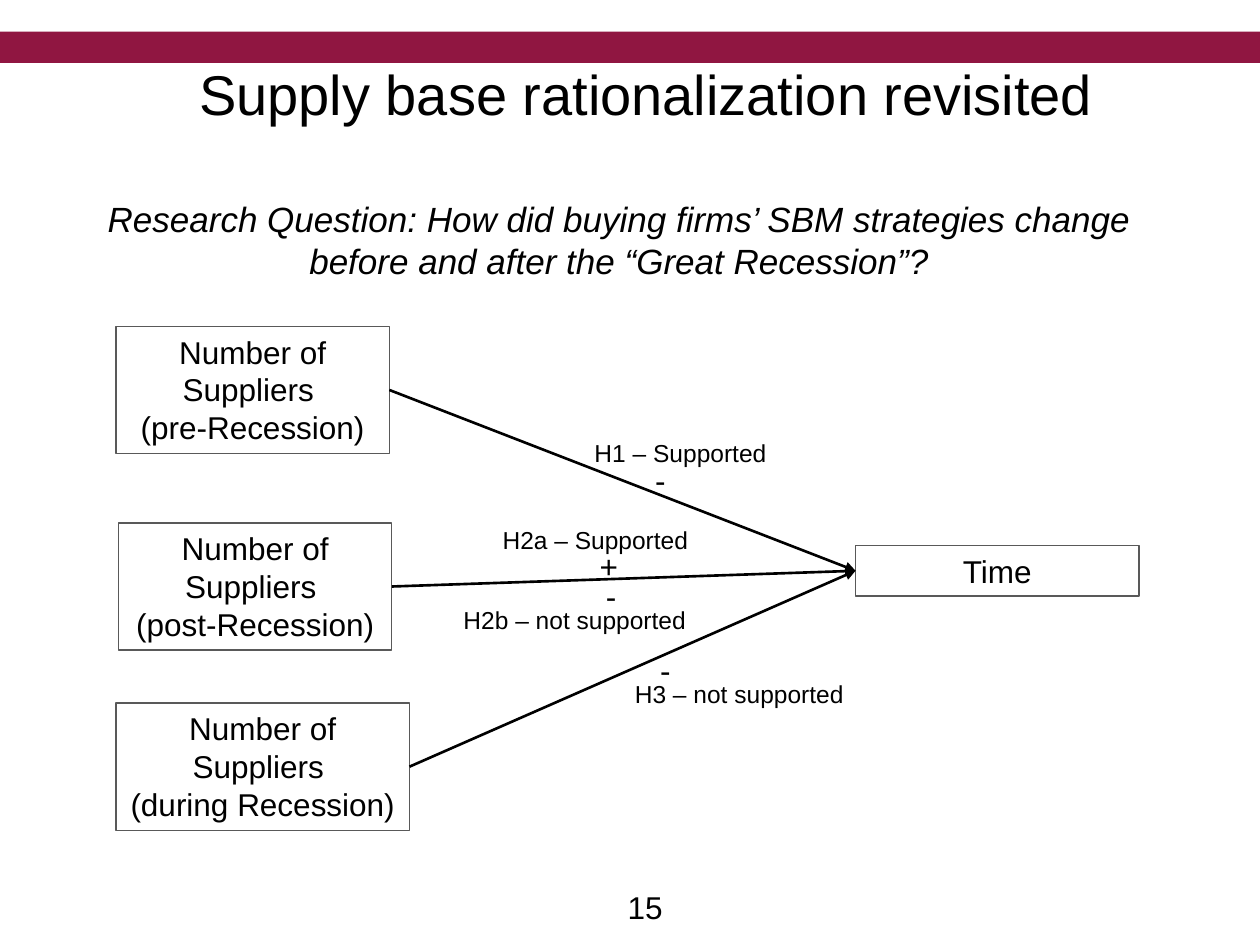
from lxml import etree
from pptx import Presentation
from pptx.dml.color import RGBColor
from pptx.enum.shapes import MSO_CONNECTOR, MSO_SHAPE
from pptx.enum.text import MSO_ANCHOR, PP_ALIGN
from pptx.oxml.ns import qn
from pptx.util import Inches, Pt

RECTANGLE = MSO_SHAPE.RECTANGLE
STRAIGHT = MSO_CONNECTOR.STRAIGHT
LEFT, CENTER = PP_ALIGN.LEFT, PP_ALIGN.CENTER
TOP, MIDDLE = MSO_ANCHOR.TOP, MSO_ANCHOR.MIDDLE
LEFT_SIDE, RIGHT_SIDE = 1, 3

THEME = {
    "font": "Arial",
    "text": RGBColor.from_string("000000"),
    "band": RGBColor.from_string("901641"),
    "outline": RGBColor.from_string("595959"),
    "title": Pt(32),
    "question": Pt(20),
    "body": Pt(18),
    "label": Pt(14),
    "outline_width": Pt(0.75),
    "arrow_width": Pt(1.5),
}
COLUMNS, ROWS = 100, 75

deck = Presentation()
deck.slide_width, deck.slide_height = Inches(10), Inches(7.5)
slide = deck.slides.add_slide(deck.slide_layouts[6])
column, row = deck.slide_width / COLUMNS, deck.slide_height / ROWS


def place(left, top, width, height):
    return [round(n * unit) for n, unit in zip((left, top, width, height), (column, row) * 2)]


def write(shape, lines, size, align=CENTER, anchor=TOP, italic=False):
    frame = shape.text_frame
    frame.word_wrap = True
    frame.vertical_anchor = anchor
    for index, line in enumerate(lines):
        para = frame.paragraphs[0] if index == 0 else frame.add_paragraph()
        para.alignment = align
        span = para.add_run()
        span.text = line
        span.font.color.rgb = THEME["text"]
        styles = {"name": THEME["font"], "size": THEME[size], "italic": italic}
        for name, value in styles.items():
            setattr(span.font, name, value)


band = slide.shapes.add_shape(RECTANGLE, *place(0, 2.5, COLUMNS, 2.5))
band.shadow.inherit = False
band.fill.solid()
band.fill.fore_color.rgb = THEME["band"]
band.line.fill.background()

question = (
    "Research Question: How did buying firms’ SBM strategies change "
    "before and after the “Great Recession”?"
)
headings = [
    ((6.7, 5, 89.2, 4.8), "Supply base rationalization revisited", {"size": "title", "anchor": MIDDLE}),
    ((5.8, 15.2, 86.7, 8.5), question, {"size": "question", "italic": True}),
    ((40.8, 70, 20.8, 5), "15", {"size": "body"}),
]
for area, text, styles in headings:
    write(slide.shapes.add_textbox(*place(*area)), [text], **styles)

suppliers = "Number of Suppliers "
variables = [
    ((9.2, 25.9, 21.7, 10.1), [suppliers, "(pre-Recession)"]),
    ((9.4, 41.5, 21.7, 10.1), [suppliers, "(post-Recession)"]),
    ((9.2, 55.8, 23.3, 10.1), [suppliers, "(during Recession)"]),
    ((67.9, 43.3, 22.5, 4), ["Time"]),
]
boxes = []
for area, lines in variables:
    box = slide.shapes.add_shape(RECTANGLE, *place(*area))
    box.shadow.inherit = False
    box.fill.background()
    box.line.color.rgb = THEME["outline"]
    box.line.width = THEME["outline_width"]
    write(box, lines, "body")
    boxes.append(box)

*sources, time_box = boxes
for source in sources:
    arrow = slide.shapes.add_connector(STRAIGHT, 0, 0, 0, 0)
    arrow.begin_connect(source, RIGHT_SIDE)
    arrow.end_connect(time_box, LEFT_SIDE)
    arrow.line.color.rgb = THEME["text"]
    arrow.line.width = THEME["arrow_width"]
    etree.SubElement(arrow.line._get_or_add_ln(), qn("a:tailEnd"), type="triangle")
    etree.SubElement(arrow._element.spPr, qn("a:effectLst"))

signs = [
    (51, 36.1, "-", LEFT),
    (46.6, 42.9, "+", LEFT),
    (46.6, 45.3, "-", CENTER),
    (51.4, 51.2, "-", LEFT),
]
for left, top, sign, align in signs:
    write(slide.shapes.add_textbox(*place(left, top, 3.8, 4)), [sign], "body", align)

hypotheses = [
    (46.2, 34.3, 16.3, "H1 – Supported"),
    (38.9, 41.2, 19.1, "H2a – Supported"),
    (35.8, 47.5, 20.1, "H2b – not supported"),
    (49.4, 53.4, 25, "H3 – not supported"),
]
for left, top, width, text in hypotheses:
    write(slide.shapes.add_textbox(*place(left, top, width, 3.4)), [text], "label", LEFT)

deck.save("out.pptx")
